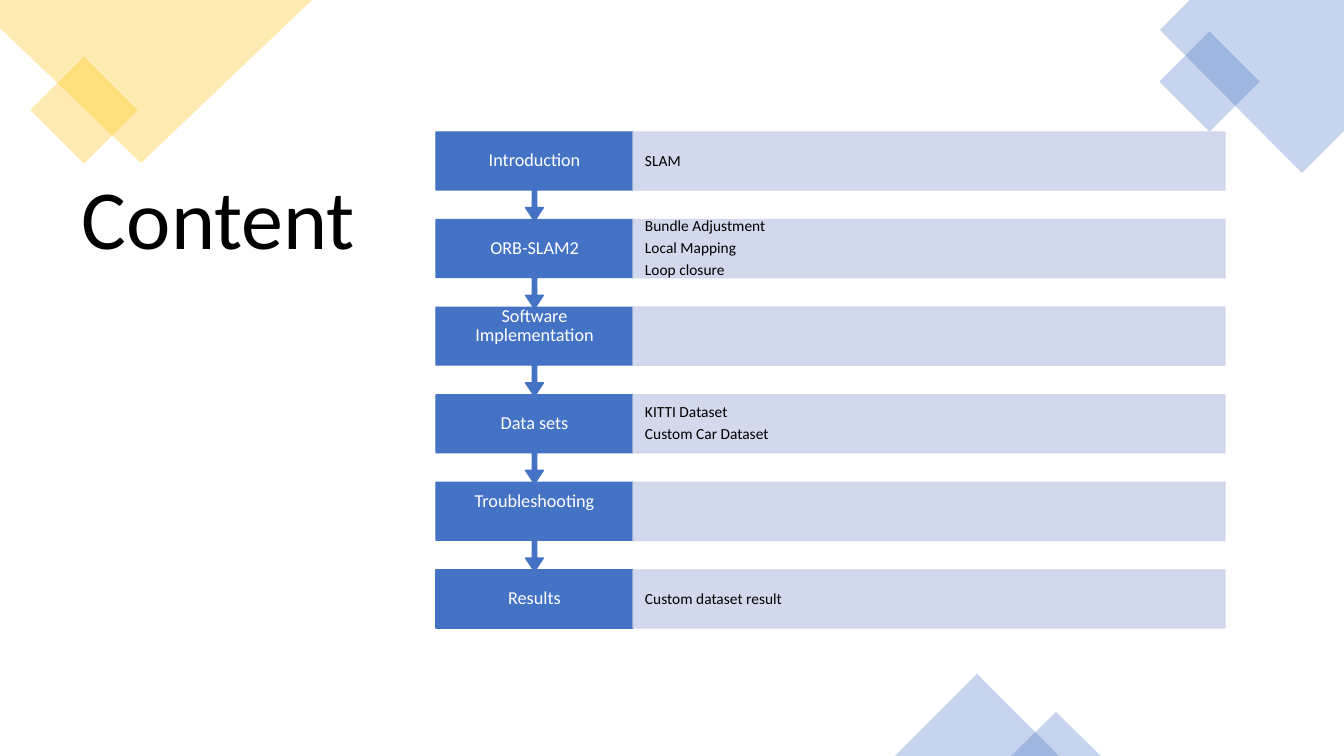
from lxml import etree
from pptx import Presentation
from pptx.dml.color import RGBColor
from pptx.enum.shapes import MSO_SHAPE
from pptx.enum.text import MSO_ANCHOR, PP_ALIGN
from pptx.oxml.ns import qn
from pptx.util import Pt

RECT = MSO_SHAPE.RECTANGLE
TRIANGLE = MSO_SHAPE.ISOSCELES_TRIANGLE
CALLOUT = MSO_SHAPE.DOWN_ARROW_CALLOUT
TOP, MIDDLE = MSO_ANCHOR.TOP, MSO_ANCHOR.MIDDLE
LEFT, CENTER = PP_ALIGN.LEFT, PP_ALIGN.CENTER

FONT = "Calibri"
BLUE, GOLD, PALE, WHITE, BLACK = "4472C4", "FFC000", "CFD5EA", "FFFFFF", "000000"

TITLE = "Content"
# topic, details, extra px below the topic text
TOPICS = [
    ("Introduction", ["SLAM"], 0),
    ("ORB-SLAM2", ["Bundle Adjustment", "Local Mapping", "Loop closure"], 0),
    ("Software Implementation", [], 20),
    ("Data sets", ["KITTI Dataset", "Custom Car Dataset"], 0),
    ("Troubleshooting", [], 20),
    ("Results", ["Custom dataset result"], 0),
]
CORNERS = [
    (GOLD, [(0, 0), (312, 0), (141, 163), (0, 28)]),
    (BLUE, [(1190, 0), (1344, 0), (1344, 131), (1302, 173), (1160, 30)]),
]
# preset, left, top, width, height, rotation, colour
ACCENTS = [
    (RECT, 46, 72, 76, 76, 45, GOLD),
    (RECT, 1174, 46, 71, 71, 45, BLUE),
    (TRIANGLE, 895, 674, 164, 82, 0, BLUE),
    (TRIANGLE, 1011, 712, 90, 44, 0, BLUE),
]

TOPIC_X, TOPIC_W = 436, 197
DETAIL_X, DETAIL_W = 633, 592
FIRST_Y, LAST_Y, ROW_H, CALLOUT_H = 132, 570, 58, 89
CALLOUT_ADJ = (0.05, 0.1, 0.15, 0.65)


def px(n):
    return round(n * 914400 / 100.8)


def rgb(value):
    return RGBColor.from_string(value)


def paint(s, color, opacity=100, outlined=False):
    s.shadow.inherit = False
    s.fill.solid()
    s.fill.fore_color.rgb = rgb(color)
    if outlined:
        s.line.color.rgb = rgb(color)
        s.line.width = Pt(1)
    else:
        s.line.fill.background()
    if opacity < 100:
        for clr in s._element.spPr.iter(qn("a:srgbClr")):
            etree.SubElement(clr, qn("a:alpha"), val=str(opacity * 1000))


def add_preset(slide, kind, x, y, w, h):
    return slide.shapes.add_shape(kind, px(x), px(y), px(w), px(h))


def write(s, lines, size, color, align, anchor, insets):
    tf = s.text_frame
    tf.word_wrap = True
    tf.vertical_anchor = anchor
    tf.margin_left, tf.margin_top, tf.margin_right, tf.margin_bottom = map(px, insets)
    for i, line in enumerate(lines):
        p = tf.add_paragraph() if i else tf.paragraphs[0]
        p.alignment = align
        p.line_spacing = 0.9
        if i:
            p.space_before = Pt(3.7)
        r = p.add_run()
        r.text = line
        r.font.name, r.font.size = FONT, Pt(size)
        r.font.color.rgb = rgb(color)


def add_decoration(slide):
    for color, points in CORNERS:
        start, *rest = [(px(x), px(y)) for x, y in points]
        builder = slide.shapes.build_freeform(*start)
        builder.add_line_segments(rest)
        paint(builder.convert_to_shape(), color, 30)
    for kind, x, y, w, h, rotation, color in ACCENTS:
        s = add_preset(slide, kind, x, y, w, h)
        s.rotation = rotation
        paint(s, color, 30)


def add_topics(slide):
    """Stack the rows from the bottom up, so each arrow lies over the next box."""
    last = len(TOPICS) - 1
    pitch = (LAST_Y - FIRST_Y) / last
    for i, (topic, details, lift) in reversed(list(enumerate(TOPICS))):
        y = FIRST_Y + i * pitch
        if i == last:
            box = add_preset(slide, RECT, TOPIC_X, y, TOPIC_W, ROW_H)
        else:
            box = add_preset(slide, CALLOUT, TOPIC_X, y, TOPIC_W, CALLOUT_H)
            for k, value in enumerate(CALLOUT_ADJ):
                box.adjustments[k] = value
        paint(box, BLUE, outlined=True)
        write(box, [topic], 13, WHITE, CENTER, MIDDLE, (14, 10, 14, 10 + lift))
        bar = add_preset(slide, RECT, DETAIL_X, y, DETAIL_W, ROW_H)
        paint(bar, PALE, 90, outlined=True)
        write(bar, details, 11, BLACK, LEFT, MIDDLE, (12, 15, 12, 15))


def main():
    prs = Presentation()
    prs.slide_width, prs.slide_height = px(1344), px(756)
    slide = prs.slides.add_slide(prs.slide_layouts[6])
    title = slide.shapes.add_textbox(px(72), px(172), px(436), px(498))
    write(title, [TITLE], 60, BLACK, LEFT, TOP, (10, 5, 10, 5))
    add_decoration(slide)
    add_topics(slide)
    prs.save("out.pptx")


if __name__ == "__main__":
    main()
